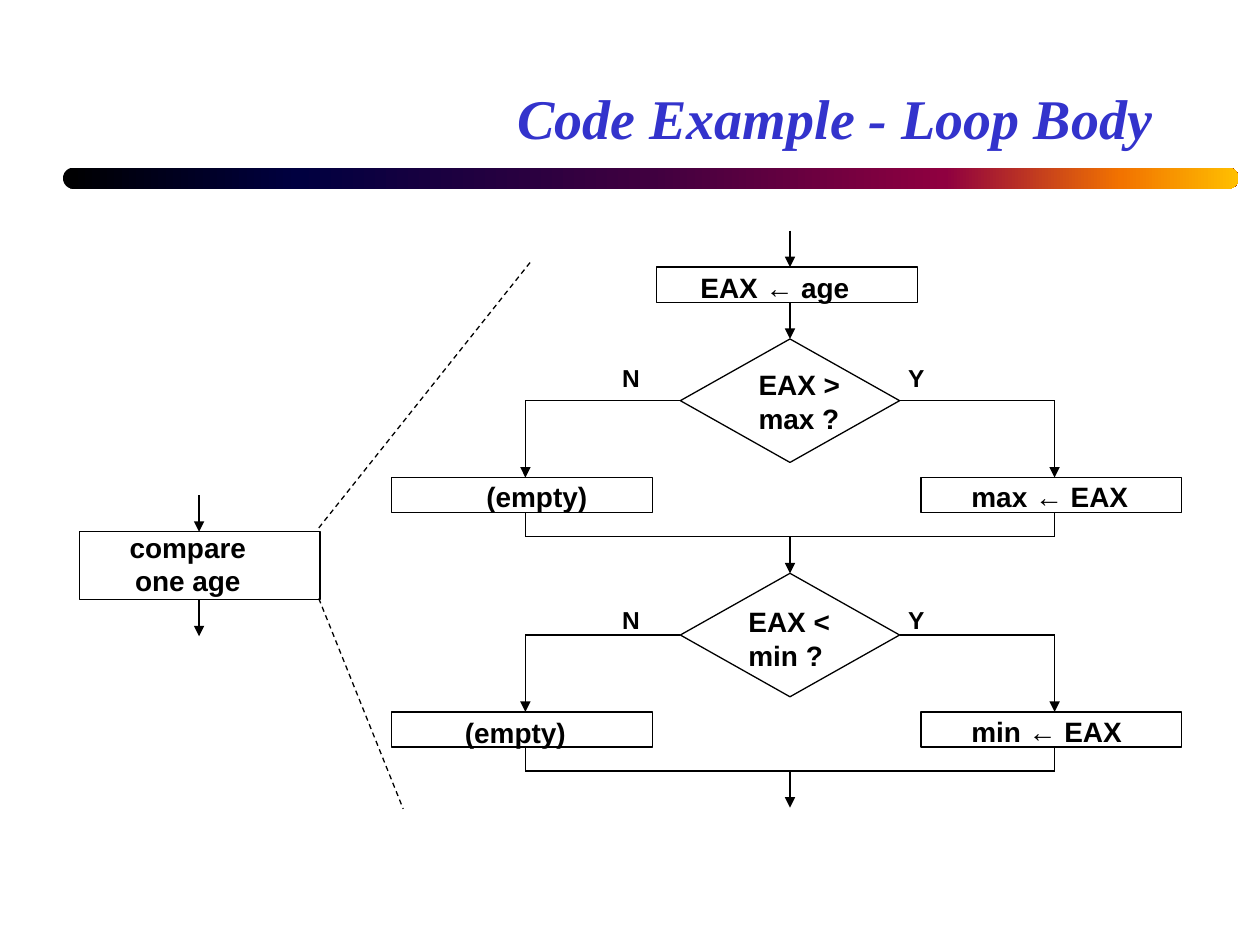
"""Build a slide with the flowchart of a loop body that tracks maximum and minimum age."""
from dataclasses import dataclass

from lxml import etree
from pptx import Presentation
from pptx import util as u
from pptx.dml.color import RGBColor
from pptx.enum import dml, shapes, text
from pptx.oxml import ns

SHAPE, ALIGN = shapes.MSO_SHAPE, text.PP_ALIGN
BLACK, BLUE = "000000", "3333CC"
RAINBOW = [(0, BLACK), (20, "000040"), (50, "400040"),
           (75, "8F0040"), (90, "F27300"), (100, "FFBF00")]
MID, BRANCH = 6.27, 2.1
NO, YES = MID - BRANCH, MID + BRANCH
TOP, STEP = 2.69, 1.86
BOX_W, BOX_H, DIAMOND_W, DIAMOND_H = 2.07, 0.28, 1.74, 0.98
ARROW, SIDE = 0.29, 1.58


@dataclass
class Label:
    """Text with its place and paragraph alignment."""
    words: str
    x: float
    y: float
    w: float
    align: ALIGN = ALIGN.LEFT


@dataclass
class Test:
    """One decision with its two outcomes and the height of its Y and N."""
    question: Label
    no: Label
    yes: Label
    mark_y: float


TESTS = [
    Test(Label("EAX > \nmax ? ", 6.02, 2.92, 0.81),
         Label("(empty) ", 3.85, 3.81, 0.98, ALIGN.CENTER),
         Label("max ← EAX ", 7.71, 3.81, 1.42), 2.83),
    Test(Label("EAX < \nmin ? ", 5.94, 4.8, 0.81),
         Label("(empty) ", 3.68, 5.68, 0.98, ALIGN.CENTER),
         Label("min ← EAX ", 7.71, 5.67, 1.37), 4.75),
]


def rgb(color: str) -> RGBColor:
    """Turn a hex string into a colour."""
    return RGBColor.from_string(color)


def style(font, name: str, size: int, color: str, italic: bool = False) -> None:
    """Format a bold font."""
    font.name, font.size, font.bold, font.italic = name, u.Pt(size), True, italic
    font.color.rgb = rgb(color)


def add_label(s, label: Label, size: int = 16, inset: bool = False) -> None:
    """Add a text box that keeps its lines as given."""
    lines = label.words.count("\n") + 1
    height = 0.34 if inset else 0.27 * lines
    sp = s.shapes.add_textbox(*map(u.Inches, (label.x, label.y, label.w, height)))
    tf = sp.text_frame
    tf.word_wrap = False
    tf.auto_size = text.MSO_AUTO_SIZE.SHAPE_TO_FIT_TEXT
    if not inset:
        tf.margin_left = tf.margin_top = tf.margin_bottom = 0
    tf.text = label.words
    for p in tf.paragraphs:
        p.alignment = label.align
        for r in p.runs:
            style(r.font, "Arial", size, BLACK)


def add_outline(s, kind: SHAPE, x: float, y: float, w: float, h: float) -> None:
    """Add an unfilled shape with a thin black outline."""
    sp = s.shapes.add_shape(kind, *map(u.Inches, (x, y, w, h)))
    sp.shadow.inherit = False
    sp.fill.background()
    sp.line.color.rgb = rgb(BLACK)
    sp.line.width = u.Pt(0.75)


def add_box(s, column: float, y: float) -> None:
    """Add a process box on a column of the chart."""
    add_outline(s, SHAPE.RECTANGLE, column - 1.06, y, BOX_W, BOX_H)


def add_line(s, x1: float, y1: float, x2: float, y2: float,
             arrow: bool = False, dashed: bool = False) -> None:
    """Add a straight line, with an arrowhead or dashes if asked."""
    sp = s.shapes.add_connector(shapes.MSO_CONNECTOR.STRAIGHT,
                                *map(u.Inches, (x1, y1, x2, y2)))
    sp.line.color.rgb = rgb(BLACK)
    sp.line.width = u.Pt(0.75)
    if dashed:
        sp.line.dash_style = dml.MSO_LINE.DASH
    if arrow:
        etree.SubElement(sp.line._get_or_add_ln(), ns.qn("a:tailEnd"), type="triangle")
    etree.SubElement(sp._element.spPr, ns.qn("a:effectLst"))


def add_down_arrow(s, x: float, y: float, length: float = ARROW) -> None:
    """Add an arrow that points down."""
    add_line(s, x, y, x, y + length, arrow=True)


def add_bar(s) -> None:
    """Add the gradient bar under the title."""
    sp = s.shapes.add_shape(SHAPE.ROUNDED_RECTANGLE,
                            *map(u.Inches, (0.5, 1.33, 9.33, 0.17)))
    sp.adjustments[0] = 0.5
    sp.shadow.inherit = False
    sp.line.fill.background()
    sp.fill.gradient()
    sp.fill.gradient_angle = 0
    stops = sp._element.spPr.find(".//" + ns.qn("a:gsLst"))
    for stop in list(stops):
        stops.remove(stop)
    for share, color in RAINBOW:
        stop = etree.SubElement(stops, ns.qn("a:gs"), pos=str(share * 1000))
        etree.SubElement(stop, ns.qn("a:srgbClr"), val=color)


def add_title(s, words: str) -> None:
    """Fill and place the title."""
    sp = s.shapes.title
    sp.left, sp.top, sp.width, sp.height = map(u.Inches, (0.75, 0.25, 8.5, 1))
    tf = sp.text_frame
    tf.text = words
    tf.auto_size = text.MSO_AUTO_SIZE.NONE
    tf.vertical_anchor = text.MSO_ANCHOR.BOTTOM
    p = tf.paragraphs[0]
    p.alignment = ALIGN.RIGHT
    style(p.runs[0].font, "Times New Roman", 32, BLUE, italic=True)


def add_test(s, test: Test, top: float) -> None:
    """Add a decision, its two branches and their merge."""
    middle, box, merge = top + DIAMOND_H / 2, top + 1.1, top + 1.57
    add_label(s, test.question)
    add_outline(s, SHAPE.DIAMOND, MID - DIAMOND_W / 2, top, DIAMOND_W, DIAMOND_H)
    for mark, x, column, side, outcome in (("N", 4.84, NO, -1, test.no),
                                           ("Y", 7.11, YES, 1, test.yes)):
        add_label(s, Label(mark, x, test.mark_y, 0.34), 14, inset=True)
        add_label(s, outcome)
        add_box(s, column, box)
        add_line(s, MID + side * DIAMOND_W / 2, middle, column, middle)
        add_down_arrow(s, column, middle, box - middle)
        add_line(s, column, box + BOX_H, column, merge)
    add_line(s, NO, merge, YES, merge)
    add_down_arrow(s, MID, merge)


def main() -> None:
    """Draw the slide and save it."""
    prs = Presentation()
    prs.slide_width, prs.slide_height = u.Inches(10), u.Inches(7.5)
    s = prs.slides.add_slide(prs.slide_layouts[5])
    add_bar(s)
    add_title(s, "Code Example - Loop Body")

    add_line(s, 2.53, 4.19, 4.21, 2.08, dashed=True)
    add_line(s, 2.53, 4.75, 3.2, 6.42, dashed=True)
    add_label(s, Label("compare\none age", 1.02, 4.21, 1.04, ALIGN.CENTER))
    add_outline(s, SHAPE.RECTANGLE, 0.63, 4.22, 1.91, 0.54)
    for y in (3.93, 4.76):
        add_down_arrow(s, SIDE, y)

    add_label(s, Label("EAX ← age ", 5.56, 2.15, 1.36))
    add_box(s, MID, 2.12)
    for y in (1.83, 2.4):
        add_down_arrow(s, MID, y)
    for i, test in enumerate(TESTS):
        add_test(s, test, TOP + i * STEP)
    prs.save("out.pptx")


main()
